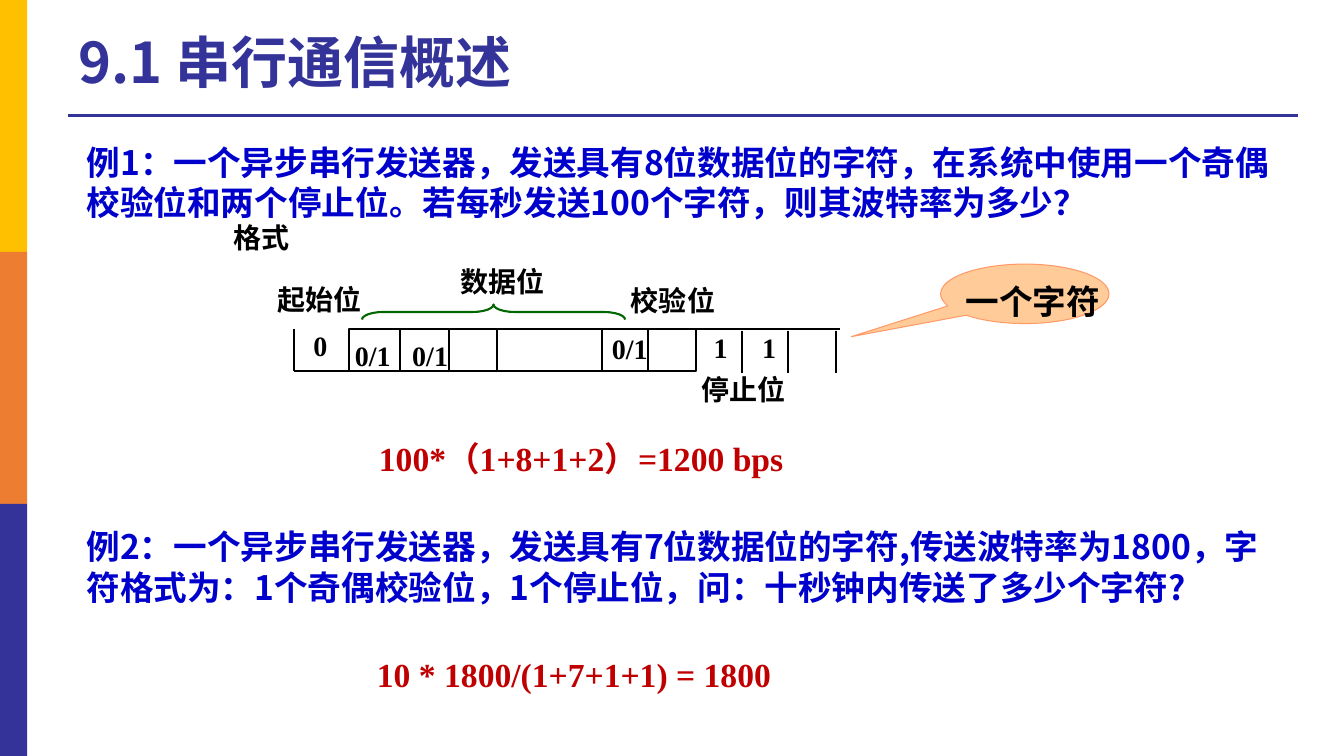
from dataclasses import dataclass

from lxml.etree import SubElement
from pptx import Presentation
from pptx.dml.color import RGBColor
from pptx.enum.shapes import MSO_CONNECTOR, MSO_SHAPE
from pptx.enum.text import MSO_ANCHOR, PP_ALIGN
from pptx.oxml.ns import qn
from pptx.util import Inches, Pt


@dataclass(frozen=True)
class Theme:
    navy: str = "333399"
    amber: str = "FFC000"
    orange: str = "ED7D31"
    question: str = "0000CC"
    answer: str = "C00000"
    ink: str = "000000"
    brace: str = "006600"
    callout: str = "FFCC99"
    callout_edge: str = "FF9966"
    sans: str = "Noto Sans CJK SC"
    serif: str = "Times New Roman"
    title: int = 40
    body: int = 24
    label: int = 20


theme = Theme()
deck = Presentation()
deck.slide_width, deck.slide_height = Inches(13.33), Inches(7.5)
page = deck.slides.add_slide(deck.slide_layouts[5])


def write(text, left, top, width, height, size=theme.label, color=theme.ink,
          font=theme.serif, wrap=False, spacing=None, box=None):
    """Put bold text in the given box, or in a new text box."""
    box = box or page.shapes.add_textbox(0, 0, 0, 0)
    box.left, box.top = Inches(left), Inches(top)
    box.width, box.height = Inches(width), Inches(height)
    frame = box.text_frame
    frame.word_wrap = wrap
    frame.vertical_anchor = MSO_ANCHOR.TOP
    para = frame.paragraphs[0]
    para.alignment = PP_ALIGN.LEFT
    para.line_spacing = spacing
    span = para.add_run()
    span.text = text
    span.font.size, span.font.bold, span.font.name = Pt(size), True, font
    span.font.color.rgb = RGBColor.from_string(color)
    SubElement(span.font._element, qn("a:ea")).set("typeface", theme.sans)


def draw_line(left, top, width, height, color=theme.ink, weight=1.5):
    line = page.shapes.add_connector(MSO_CONNECTOR.STRAIGHT, Inches(left), Inches(top),
                                     Inches(left + width), Inches(top + height))
    SubElement(line._element.spPr, qn("a:effectLst"))
    line.line.color.rgb = RGBColor.from_string(color)
    line.line.width = Pt(weight)


def draw_shape(kind, left, top, width, height, fill=None, edge=None, weight=1.5):
    shape = page.shapes.add_shape(kind, Inches(left), Inches(top),
                                  Inches(width), Inches(height))
    shape.shadow.inherit = False
    shape.fill.background()
    if fill:
        shape.fill.solid()
        shape.fill.fore_color.rgb = RGBColor.from_string(fill)
    shape.line.fill.background()
    if edge:
        shape.line.color.rgb = RGBColor.from_string(edge)
        shape.line.width = Pt(weight)
    return shape


# Page frame and title
draw_line(0.67, 1.15, 12.2, 0, color=theme.navy, weight=2.25)
for band, color in enumerate((theme.amber, theme.orange, theme.navy)):
    draw_shape(MSO_SHAPE.RECTANGLE, 0, 2.5 * band, 0.27, 2.5, fill=color)
write("9.1 串行通信概述", 0.68, 0.3, 9.91, 0.87, size=theme.title, color=theme.navy,
      font=theme.sans, wrap=True, spacing=0.9, box=page.shapes.title)

# Questions and answers
questions = (
    (1.36, 12.05, "例1：一个异步串行发送器，发送具有8位数据位的字符，在系统中使用一个奇偶校验位和两个停止位。"
                  "若每秒发送100个字符，则其波特率为多少？"),
    (5.17, 12.13, "例2：一个异步串行发送器，发送具有7位数据位的字符,传送波特率为1800，"
                  "字符格式为：1个奇偶校验位，1个停止位，问：十秒钟内传送了多少个字符?"),
)
for top, width, text in questions:
    write(text, 0.76, top, width, 0.91, size=theme.body, color=theme.question,
          font=theme.sans, wrap=True)
for left, top, text in ((3.66, 4.3, "100*（1+8+1+2）=1200 bps"),
                        (3.64, 6.44, "10 * 1800/(1+7+1+1) = 1800")):
    write(text, left, top, 5, 0.5, size=theme.body, color=theme.answer, wrap=True)

# Character frame: start bit, data bits, parity bit, stop bits
cell_top, cell_height = 3.26, 0.42
draw_shape(MSO_SHAPE.RECTANGLE, 3.46, cell_top, 3.44, cell_height, edge=theme.ink)
for left, top, width in ((2.92, cell_top + cell_height, 0.54), (6.9, cell_top, 1.43)):
    draw_line(left, top, width, 0)
for left in (2.92, 3.97, 4.45, 4.93, 5.97, 6.43):
    draw_line(left, cell_top, 0, cell_height)
for left in (7.36, 7.82, 8.29):
    draw_line(left, cell_top + 0.02, 0, cell_height)
brace = draw_shape(MSO_SHAPE.RIGHT_BRACE, 4.82, 1.79, 0.15, 2.61, edge=theme.brace)
brace.rotation = 270
brace.adjustments[0] = 1.41

callout = draw_shape(MSO_SHAPE.OVAL_CALLOUT, 9.33, 2.62, 1.67, 0.59,
                     fill=theme.callout, edge=theme.callout_edge, weight=0.75)
callout.adjustments[0], callout.adjustments[1] = -1.03, 0.72
write("一个字符", 9.48, 2.74, 1.54, 0.5, size=theme.body)

labels = (
    ("0", 3.01, 3.21, 0.34), ("0/1", 3.42, 3.31, 0.65), ("0/1", 3.99, 3.31, 0.65),
    ("0/1", 5.97, 3.24, 0.65), ("1", 6.98, 3.23, 0.34), ("1", 7.46, 3.23, 0.34),
    ("格式", 2.22, 2.14, 0.76), ("起始位", 2.65, 2.75, 1.04), ("数据位", 4.47, 2.58, 1.04),
    ("校验位", 6.16, 2.76, 1.04), ("停止位", 6.86, 3.65, 1.04),
)
for text, left, top, width in labels:
    write(text, left, top, width, 0.44)

deck.save("out.pptx")
